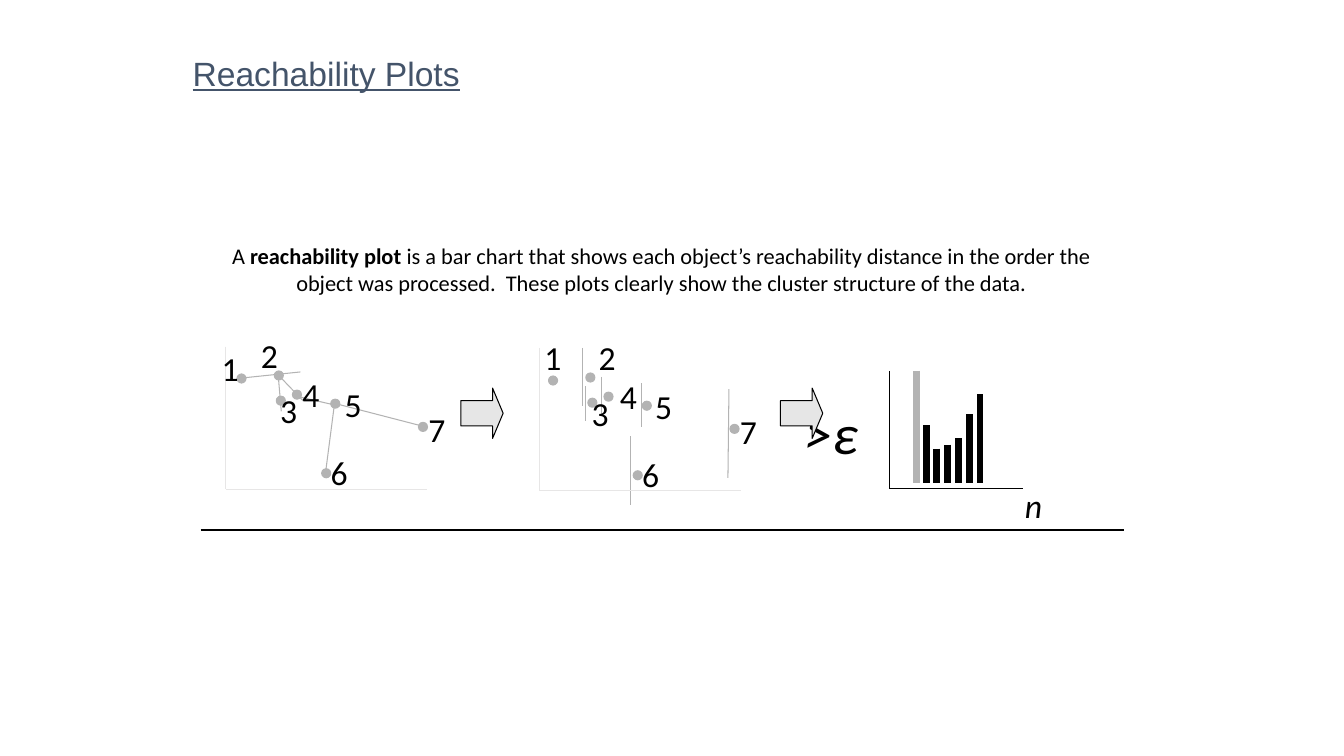
from lxml import etree
from pptx import Presentation
from pptx.dml.color import RGBColor
from pptx.enum.shapes import MSO_CONNECTOR, MSO_SHAPE
from pptx.enum.text import MSO_ANCHOR, MSO_AUTO_SIZE, PP_ALIGN
from pptx.oxml.ns import qn
from pptx.util import Pt

PX = 9144  # 100 px to the inch
BLACK = RGBColor(0x00, 0x00, 0x00)
GREY = RGBColor(0xB3, 0xB3, 0xB3)
PALE = RGBColor(0xE7, 0xE6, 0xE6)
ARROW = RGBColor(0xE6, 0xE6, 0xE6)
SLATE = RGBColor(0x44, 0x54, 0x6A)

prs = Presentation()
prs.slide_width, prs.slide_height = 1333 * PX, 750 * PX
s = prs.slides.add_slide(prs.slide_layouts[5])


def line(x1, y1, x2, y2, color, width):
    c = s.shapes.add_connector(MSO_CONNECTOR.STRAIGHT,
                               x1 * PX, y1 * PX, x2 * PX, y2 * PX)
    c.line.color.rgb = color
    c.line.width = Pt(width)
    etree.SubElement(c._element.spPr, qn("a:effectLst"))


def text(x, y, w, h, runs, size, wrap=False, italic=False):
    tf = s.shapes.add_textbox(x * PX, y * PX, w * PX, h * PX).text_frame
    tf.word_wrap = wrap
    p = tf.paragraphs[0]
    p.alignment = PP_ALIGN.CENTER if wrap else PP_ALIGN.LEFT
    for words, bold in runs:
        r = p.add_run()
        r.text = words
        r.font.name = "Calibri"
        r.font.size = Pt(size)
        r.font.bold = bold
        r.font.italic = italic
        r.font.color.rgb = BLACK


# Title
title = s.shapes.title
title.left, title.top, title.width, title.height = 181 * PX, 35 * PX, 708 * PX, 75 * PX
tf = title.text_frame
tf.auto_size = MSO_AUTO_SIZE.NONE
tf.vertical_anchor = MSO_ANCHOR.MIDDLE
p = tf.paragraphs[0]
p.alignment = PP_ALIGN.LEFT
r = p.add_run()
r.text = "Reachability Plots"
r.font.name = "Arial"
r.font.size = Pt(24)
r.font.underline = True
r.font.color.rgb = SLATE

# Definition
text(197, 235, 918, 64, [
    ("A ", False),
    ("reachability plot", True),
    (" is a bar chart that shows each object’s reachability distance in the order "
     "the object was processed.  These plots clearly show the cluster structure "
     "of the data.", False),
], 16, wrap=True)

# Point plots: the same seven points, first linked, then with distance lines
points = [(235, 371), (272, 368), (274, 393), (290, 387),
          (328, 396), (319, 465), (415, 419)]
links = [(335, 401, 420, 423), (294, 393, 337, 403), (332, 399, 323, 468),
         (240, 375, 298, 369), (276, 373, 279, 408), (275, 371, 301, 398)]
distances = [(723, 386, 722, 474), (636, 380, 636, 424), (625, 433, 625, 501),
             (578, 345, 578, 403), (581, 383, 581, 418), (597, 374, 597, 412)]
link_labels = [(210, 340), (249, 327), (268, 382), (290, 366),
               (332, 376), (318, 443), (415, 401)]
distance_labels = [(530, 329), (584, 329), (577, 385), (605, 368),
                   (640, 378), (627, 445), (724, 403)]
plots = [(0, 0, 224, 485, links, link_labels),
         (309, 2, 535, 486, distances, distance_labels)]

for dx, dy, axis_x, axis_y, segments, labels in plots:
    for segment in segments:
        line(*segment, GREY, 0.75)
    for x, y in points:
        dot = s.shapes.add_shape(MSO_SHAPE.OVAL, (x + dx) * PX, (y + dy) * PX,
                                 9 * PX, 9 * PX)
        dot.shadow.inherit = False
        dot.fill.solid()
        dot.fill.fore_color.rgb = GREY
        dot.line.color.rgb = GREY
        dot.line.width = Pt(0.75)
    line(axis_x, axis_y - 141, axis_x, axis_y, PALE, 0.5)
    line(axis_x, axis_y, axis_x + 200, axis_y, PALE, 0.5)
    for number, (x, y) in enumerate(labels, 1):
        text(x, y, 37, 51, [(str(number), False)], 24)

# Reachability bars and their axes
bars = [(909, 368), (919, 422), (929, 445), (940, 441),
        (951, 435), (962, 411), (972, 391)]
for i, (x, top) in enumerate(bars):
    line(x, top, x, 479, BLACK if i else GREY, 5)
line(882, 368, 882, 485, BLACK, 0.75)
line(882, 485, 1015, 485, BLACK, 0.75)
text(788, 324, 85, 77, [(" >ε", False)], 40, italic=True)
text(999, 476, 45, 50, [(" n", False)], 24, italic=True)

# Arrows between the steps
for x in (457, 774):
    arrow = s.shapes.add_shape(MSO_SHAPE.RIGHT_ARROW, x * PX, 385 * PX, 42 * PX, 50 * PX)
    arrow.adjustments[0] = 0.5
    arrow.adjustments[1] = 0.25
    arrow.shadow.inherit = False
    arrow.fill.solid()
    arrow.fill.fore_color.rgb = ARROW
    arrow.line.color.rgb = BLACK
    arrow.line.width = Pt(0.75)

# Closing rule
line(199, 526, 1115, 526, BLACK, 1)

prs.save("out.pptx")
